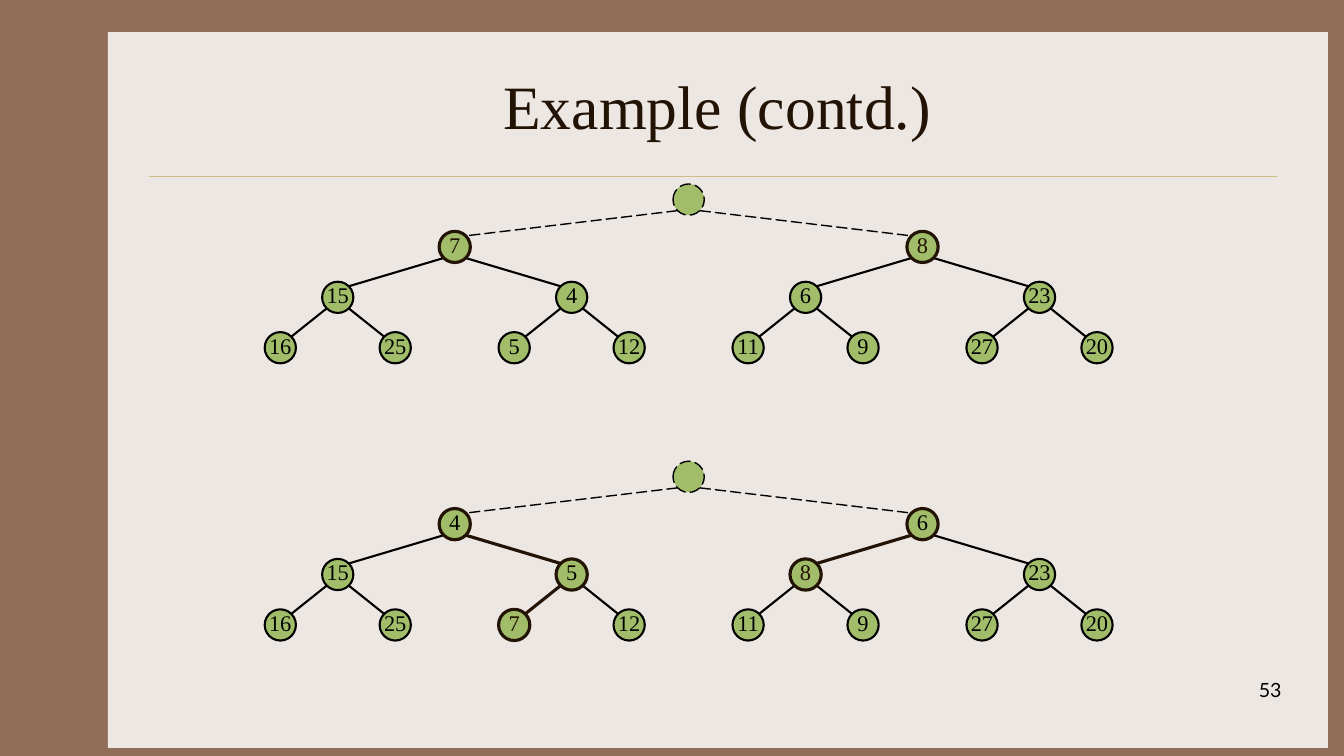
from lxml.etree import SubElement
from pptx import Presentation
from pptx.dml.color import RGBColor
from pptx.enum.dml import MSO_LINE
from pptx.enum.shapes import MSO_CONNECTOR, MSO_SHAPE
from pptx.enum.text import MSO_ANCHOR, PP_ALIGN
from pptx.oxml.ns import qn
from pptx.util import Inches, Pt

TITLE = "Example (contd.)"
PAGE_NUMBER = "53"
SERIF = "Times New Roman"
COLORS = {
    "frame": "906D58",
    "panel": "EDE7E3",
    "rule": "CBBD83",
    "node": "A1BD69",
    "black": "000000",
    "accent": "221304",
}

# Values are in heap order: the children of i are 2i + 1 and 2i + 2.
# "ringed" lists thick-outlined nodes, "path" the child ends of thick edges.
HEAPS = [
    {
        "root_y": 1.98,
        "values": ["", "7", "8", "15", "4", "6", "23",
                   "16", "25", "5", "12", "11", "9", "27", "20"],
        "ringed": {1, 2},
        "path": set(),
    },
    {
        "root_y": 4.73,
        "values": ["", "4", "6", "15", "5", "8", "23",
                   "16", "25", "7", "12", "11", "9", "27", "20"],
        "ringed": {1, 2, 4, 5, 9},
        "path": {4, 5, 9},
    },
]
SINKING_KEYS = {"7", "8"}

ROOT_X = 6.83
CHILD_OFFSETS = [2.32, 1.16, 0.57]
LEVEL_DROPS = [0, 0.47, 0.97, 1.47]
DIAMETER = 0.31
EDGE_INSET = 0.11

NORMAL = {"color": "black", "width": 1.5}
THICK = {"color": "accent", "width": 2.25}
DASHED = {"color": "black", "width": 1, "dash": MSO_LINE.LONG_DASH}


def rgb(name):
    return RGBColor.from_string(COLORS[name])


def style_line(line, color, width, dash=None):
    line.color.rgb = rgb(color)
    line.width = Pt(width)
    if dash:
        line.dash_style = dash


def write_text(frame, text, size, font=SERIF, color="black", align=PP_ALIGN.CENTER,
               anchor=MSO_ANCHOR.MIDDLE, wrap=True):
    frame.word_wrap = wrap
    frame.vertical_anchor = anchor
    para = frame.paragraphs[0]
    para.alignment = align
    span = para.add_run()
    span.text = text
    span.font.size = Pt(size)
    span.font.name = font
    span.font.color.rgb = rgb(color)


def add_filled(page, kind, left, top, width, height, fill):
    shape = page.shapes.add_shape(
        kind, Inches(left), Inches(top), Inches(width), Inches(height))
    shape.shadow.inherit = False
    shape.fill.solid()
    shape.fill.fore_color.rgb = rgb(fill)
    return shape


def add_line(page, start, end, **style):
    line = page.shapes.add_connector(
        MSO_CONNECTOR.STRAIGHT, *(Inches(value) for value in (*start, *end)))
    style_line(line.line, **style)
    SubElement(line._element.spPr, qn("a:effectLst"))


def add_node(page, center, value, **style):
    node = add_filled(page, MSO_SHAPE.OVAL, center[0] - DIAMETER / 2,
                      center[1] - DIAMETER / 2, DIAMETER, DIAMETER, "node")
    style_line(node.line, **style)
    if value:
        frame = node.text_frame
        frame.margin_left = frame.margin_right = frame.margin_top = 0
        frame.margin_bottom = Inches(0.05)
        write_text(frame, value, 16, wrap=False,
                   color="accent" if value in SINKING_KEYS else "black")


def node_centers(root_y, count):
    centers = [(ROOT_X, root_y)]
    for index in range(1, count):
        level = (index + 1).bit_length() - 1
        side = -1 if index % 2 else 1
        parent_x = centers[(index - 1) // 2][0]
        centers.append((parent_x + side * CHILD_OFFSETS[level - 1],
                        root_y + LEVEL_DROPS[level]))
    return centers


def add_heap(page, root_y, values, ringed, path):
    centers = node_centers(root_y, len(values))
    for index in range(1, len(values)):
        parent = (index - 1) // 2
        inset = -EDGE_INSET if index % 2 else EDGE_INSET
        (parent_x, parent_y), (child_x, child_y) = centers[parent], centers[index]
        style = DASHED if parent == 0 else THICK if index in path else NORMAL
        add_line(page, (parent_x + inset, parent_y + EDGE_INSET),
                 (child_x - inset, child_y - EDGE_INSET), **style)
    for index, (center, value) in enumerate(zip(centers, values)):
        style = DASHED if index == 0 else THICK if index in ringed else NORMAL
        add_node(page, center, value, **style)


def main():
    deck = Presentation()
    deck.slide_width, deck.slide_height = Inches(13.33), Inches(7.5)
    page = deck.slides.add_slide(deck.slide_layouts[5])
    page.background.fill.solid()
    page.background.fill.fore_color.rgb = rgb("frame")

    panel = add_filled(page, MSO_SHAPE.RECTANGLE, 1.07, 0.32, 12.1, 7.1, "panel")
    panel.line.fill.background()
    add_line(page, (1.48, 1.75), (12.67, 1.75), color="rule", width=0.25)

    title = page.shapes.title
    title.left, title.top = Inches(1.56), Inches(0.42)
    title.width, title.height = Inches(11.11), Inches(1.25)
    write_text(title.text_frame, TITLE, 44, color="accent")
    page.shapes._spTree.append(title._element)  # bring in front of the panel

    number = page.shapes.add_textbox(
        Inches(10.03), Inches(6.68), Inches(2.78), Inches(0.5))
    write_text(number.text_frame, PAGE_NUMBER, 14, font="Lato",
               align=PP_ALIGN.RIGHT, anchor=MSO_ANCHOR.TOP)

    for heap in HEAPS:
        add_heap(page, **heap)
    deck.save("out.pptx")


if __name__ == "__main__":
    main()
